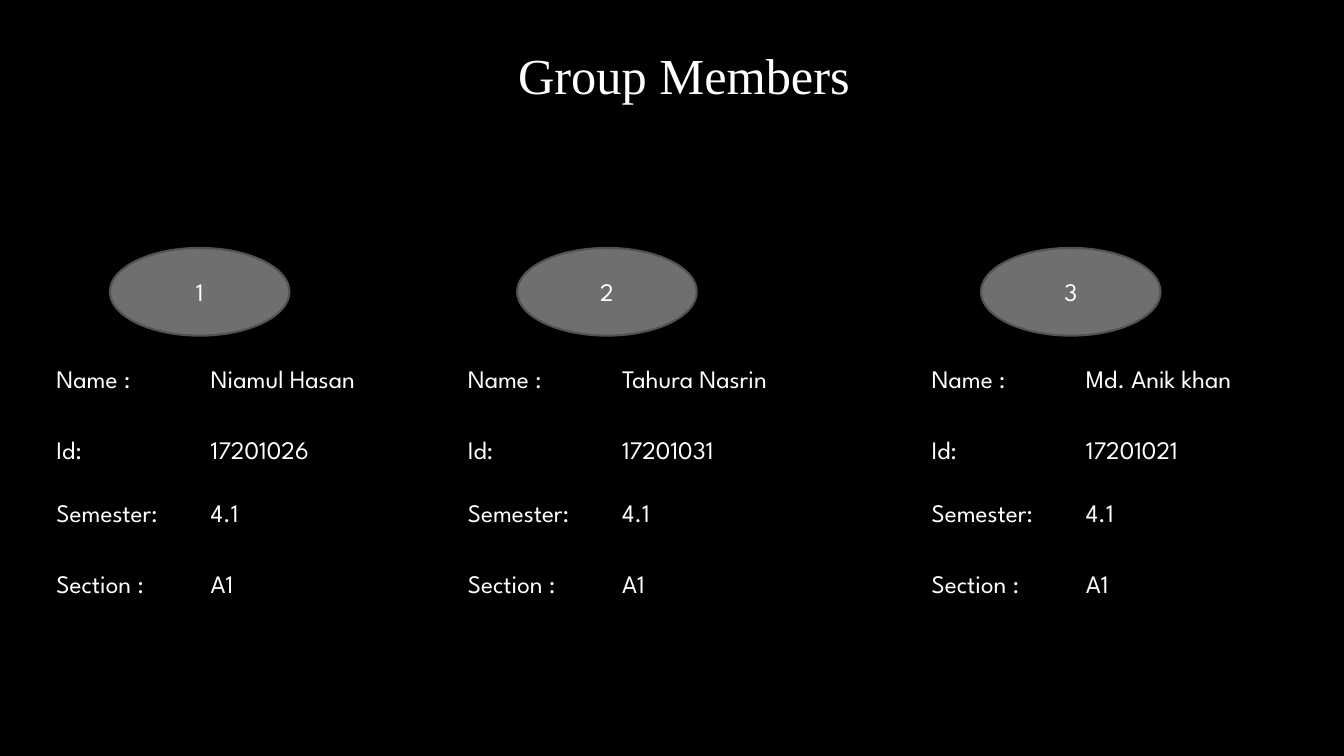
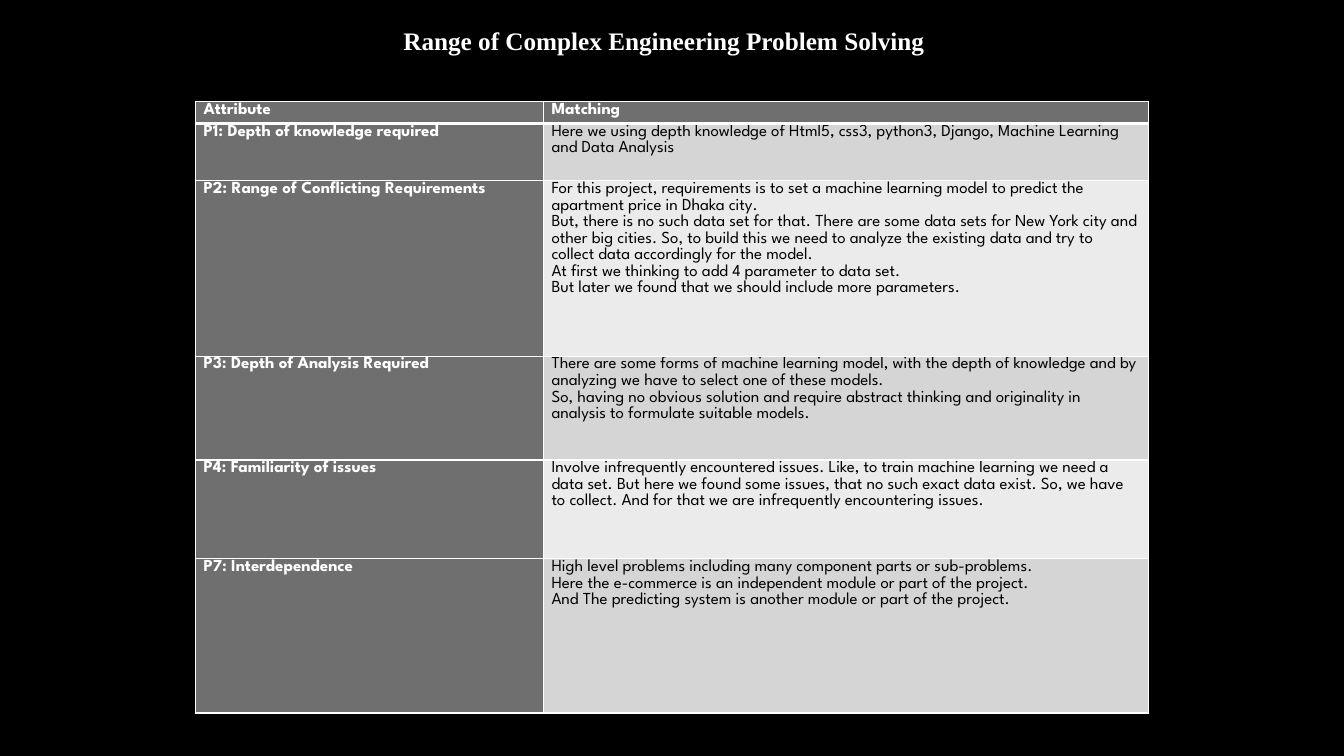
import pptx
import pptx.dml.color
import pptx.enum.shapes
import pptx.enum.text
import pptx.oxml
import pptx.oxml.ns
import pptx.util
from lxml import etree

Inches = pptx.util.Inches
Pt = pptx.util.Pt
RGBColor = pptx.dml.color.RGBColor
PP_ALIGN = pptx.enum.text.PP_ALIGN
MSO_ANCHOR = pptx.enum.text.MSO_ANCHOR

BLACK = RGBColor(0x00, 0x00, 0x00)
WHITE = RGBColor(0xFF, 0xFF, 0xFF)
GRAY = RGBColor(0x6F, 0x6F, 0x6F)
DARK_GRAY = RGBColor(0x52, 0x52, 0x52)
BAND_FILLS = (RGBColor(0xD5, 0xD5, 0xD5), RGBColor(0xEB, 0xEB, 0xEB))

TITLE_FONT = "Times New Roman"
BODY_FONT = "League Spartan"
PLAIN_TABLE_STYLE = "{2D5ABB26-0587-4C30-8999-92F81FD0307C}"

MEMBER_LABELS = ("Name :", "Id:", "Semester:", "Section :")
# Each member: left of the oval, left of the table, values
MEMBERS = [
    (1.09, 0.46, ("Niamul Hasan", "17201026", "4.1", "A1")),
    (5.13, 4.54, ("Tahura Nasrin", "17201031", "4.1", "A1")),
    (9.73, 9.14, ("Md. Anik khan", "17201021", "4.1", "A1")),
]
MEMBER_COLUMNS = (1.53, 2.65)
MEMBER_ROWS = (0.7, 0.63, 0.7, 0.7)

ATTRIBUTE_COLUMNS = (3.45, 6)
ATTRIBUTE_ROWS = (0.17, 0.57, 1.74, 1.03, 0.98, 1.53)
ATTRIBUTES = [
    ("Attribute", "Matching"),
    ("P1: Depth of knowledge required",
     "Here we using depth knowledge of Html5, css3, python3, Django, "
     "Machine Learning and Data Analysis"),
    ("P2: Range of Conflicting Requirements",
     "For this project, requirements is to set a machine learning model to "
     "predict the apartment price in Dhaka city.\n"
     "But, there is no such data set for that. There are some data sets for "
     "New York city and other big cities. So, to build this we need to analyze "
     "the existing data and try to collect data accordingly for the model.\n"
     "At first we thinking to add 4 parameter to data set.\n"
     "But later we found that we should include more parameters."),
    ("P3: Depth of Analysis Required",
     "There are some forms of machine learning model, with the depth of "
     "knowledge and by analyzing we have to select one of these models.\n"
     "So, having no obvious solution and require abstract thinking and "
     "originality in analysis to formulate suitable models."),
    ("P4: Familiarity of issues",
     "Involve infrequently encountered issues. Like, to train machine learning "
     "we need a data set. But here we found some issues, that no such exact "
     "data exist. So, we have to collect. And for that we are infrequently "
     "encountering issues."),
    ("P7: Interdependence",
     "High level problems including many component parts or sub-problems.\n"
     "Here the e-commerce is an independent module or part of the project.\n"
     "And The predicting system is another module or part of the project."),
]


def write_text(text_frame, text, size, font=BODY_FONT, color=WHITE, bold=False,
               align=PP_ALIGN.LEFT, line_spacing=None):
    text_frame.text = text
    for paragraph in text_frame.paragraphs:
        paragraph.alignment = align
        paragraph.line_spacing = line_spacing
        for run in paragraph.runs:
            run.font.name = font
            run.font.size = Pt(size)
            run.font.bold = bold
            run.font.color.rgb = color


def add_title(slide, text, left, top, width, height, size, wrap=True, **style):
    box = slide.shapes.add_textbox(
        Inches(left), Inches(top), Inches(width), Inches(height))
    box.text_frame.word_wrap = wrap
    write_text(box.text_frame, text, size, font=TITLE_FONT, **style)


def add_plain_table(slide, left, top, columns, rows):
    """Add a table with the given sizes and no style of its own."""
    frame = slide.shapes.add_table(
        len(rows), len(columns), Inches(left), Inches(top),
        Inches(sum(columns)), Inches(sum(rows)))
    table = frame.table
    table.first_row = table.horz_banding = False
    style_id = table._tbl.tblPr.find(pptx.oxml.ns.qn("a:tableStyleId"))
    style_id.text = PLAIN_TABLE_STYLE
    for column, width in zip(table.columns, columns):
        column.width = Inches(width)
    for row, height in zip(table.rows, rows):
        row.height = Inches(height)
    return table


def set_borders(cell, widths):
    """Draw white borders; widths maps the sides L, R, T, B to points."""
    properties = cell._tc.get_or_add_tcPr()
    for position, side in enumerate("LRTB"):
        line = etree.Element(
            pptx.oxml.ns.qn("a:ln" + side), w=str(Pt(widths[side])))
        fill = etree.SubElement(line, pptx.oxml.ns.qn("a:solidFill"))
        etree.SubElement(fill, pptx.oxml.ns.qn("a:srgbClr"), val=str(WHITE))
        properties.insert(position, line)


def add_number_oval(slide, number, left):
    oval = slide.shapes.add_shape(
        pptx.enum.shapes.MSO_SHAPE.OVAL,
        Inches(left), Inches(2.46), Inches(1.78), Inches(0.87))
    oval.shadow.inherit = False
    oval.fill.solid()
    oval.fill.fore_color.rgb = GRAY
    oval.line.color.rgb = DARK_GRAY
    oval.line.width = Pt(1.5)
    oval.text_frame.vertical_anchor = MSO_ANCHOR.MIDDLE
    write_text(oval.text_frame, str(number), 18, align=PP_ALIGN.CENTER)


def build_members_slide(slide):
    add_title(slide, "Group Members", 5.04, 0.39, 3.53, 0.71, 36, wrap=False)
    for number, (oval_left, table_left, values) in enumerate(MEMBERS, 1):
        add_number_oval(slide, number, oval_left)
        table = add_plain_table(
            slide, table_left, 3.63, MEMBER_COLUMNS, MEMBER_ROWS)
        for row, texts in enumerate(zip(MEMBER_LABELS, values)):
            for column, text in enumerate(texts):
                write_text(table.cell(row, column).text_frame, text, 18)


def build_attributes_slide(slide):
    table = add_plain_table(
        slide, 1.94, 1.01, ATTRIBUTE_COLUMNS, ATTRIBUTE_ROWS)
    for row, texts in enumerate(ATTRIBUTES):
        for column, text in enumerate(texts):
            cell = table.cell(row, column)
            is_heading = row == 0 or column == 0
            cell.margin_left = cell.margin_right = Inches(0.08)
            cell.margin_top = cell.margin_bottom = 0
            cell.fill.solid()
            cell.fill.fore_color.rgb = (
                GRAY if is_heading else BAND_FILLS[(row - 1) % 2])
            write_text(cell.text_frame, text, 12, bold=is_heading,
                       color=WHITE if is_heading else BLACK, line_spacing=1.07)
            set_borders(cell, {"L": 1, "R": 1, "T": 3 if row == 1 else 1,
                               "B": 3 if row == 0 else 1})
    add_title(slide, "Range of Complex Engineering Problem Solving",
              3.25, 0.18, 6.67, 0.41, 18, bold=True,
              align=PP_ALIGN.CENTER, line_spacing=1.07)


def main():
    presentation = pptx.Presentation()
    presentation.slide_width = Inches(13.33)
    presentation.slide_height = Inches(7.5)
    background = presentation.slide_master.background.fill
    background.solid()
    background.fore_color.rgb = BLACK
    blank_layout = presentation.slide_layouts[6]
    for build_slide in (build_members_slide, build_attributes_slide):
        build_slide(presentation.slides.add_slide(blank_layout))
    presentation.save("out.pptx")


if __name__ == "__main__":
    main()
